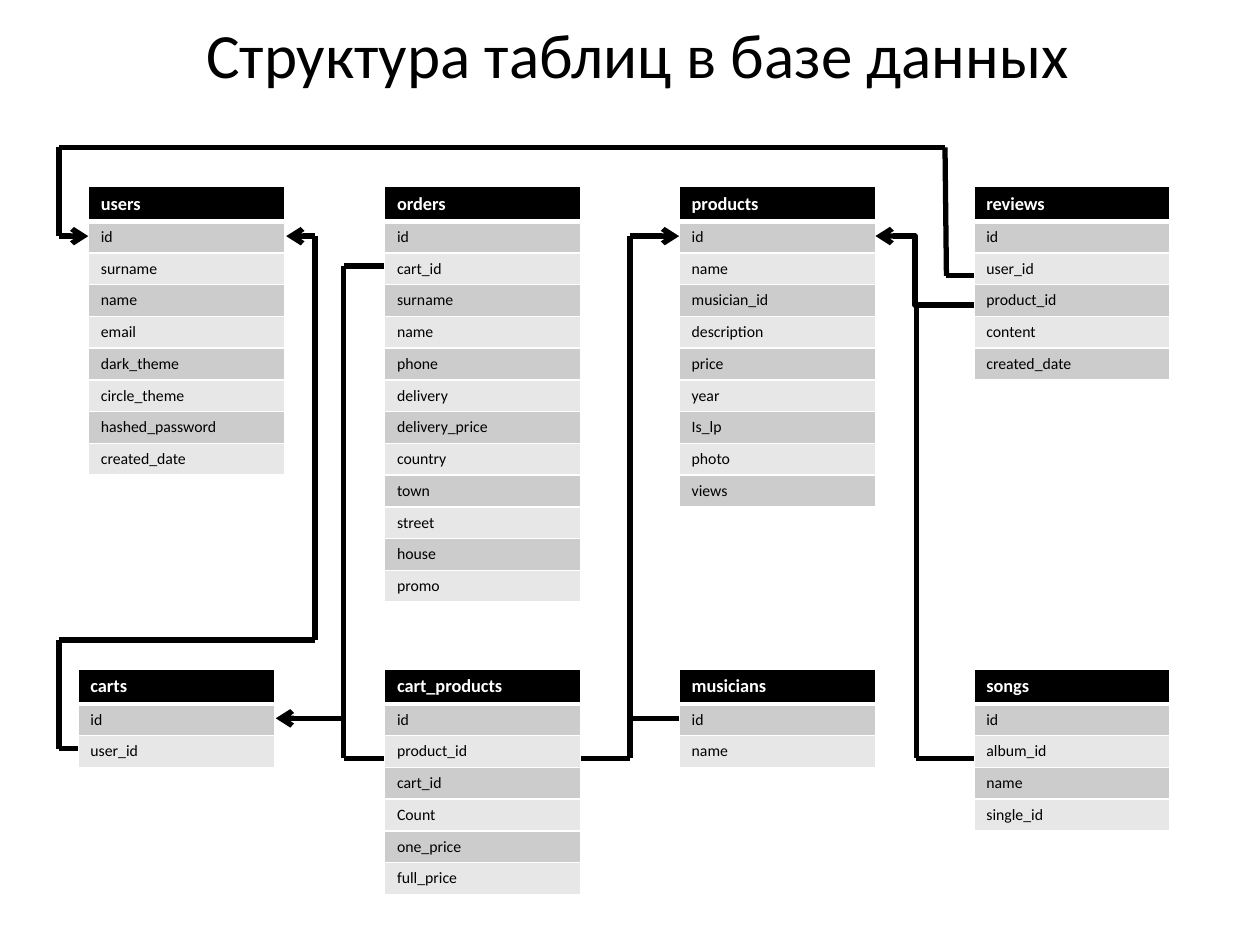
from pptx import Presentation
from pptx.dml.color import RGBColor
from pptx.enum.shapes import MSO_CONNECTOR
from pptx.enum.text import MSO_ANCHOR, PP_ALIGN
from pptx.oxml import parse_xml
from pptx.oxml.ns import nsdecls, qn
from pptx.util import Cm, Pt
from lxml.etree import SubElement

BLACK = RGBColor(0x00, 0x00, 0x00)
WHITE = RGBColor(0xFF, 0xFF, 0xFF)
DARK_BAND = RGBColor(0xCC, 0xCC, 0xCC)
LIGHT_BAND = RGBColor(0xE7, 0xE7, 0xE7)
FONT = "Calibri"

TABLE_WIDTH = 3.96
HEADER_HEIGHT = 0.7
ROW_HEIGHT = 0.64
UPPER, LOWER = 3.76, 13.49
COLUMN_2, COLUMN_3, COLUMN_4 = 7.75, 13.69, 19.63

# Left, top, table name, fields
TABLES = [
    (1.78, UPPER, "users", "id surname name email dark_theme circle_theme "
                           "hashed_password created_date"),
    (COLUMN_2, UPPER, "orders", "id cart_id surname name phone delivery delivery_price "
                                "country town street house promo"),
    (COLUMN_3, UPPER, "products", "id name musician_id description price year "
                                  "Is_lp photo views"),
    (COLUMN_4, UPPER, "reviews", "id user_id product_id content created_date"),
    (1.57, LOWER, "carts", "id user_id"),
    (COLUMN_2, LOWER, "cart_products", "id product_id cart_id Count one_price full_price"),
    (COLUMN_3, LOWER, "musicians", "id name"),
    (COLUMN_4, LOWER, "songs", "id album_id name single_id"),
]

# Corner points of each relation, and whether it ends in an arrow
ROUTES = [
    ([(COLUMN_4, 5.56), (19.08, 5.56), (19.05, 2.97), (1.19, 2.97), (1.19, 4.76),
      (1.78, 4.76)], True),                                       # reviews to users
    ([(COLUMN_4, 15.29), (18.47, 15.29), (18.47, 6.15)], False),  # songs to products
    ([(11.71, 15.29), (12.7, 15.29), (12.7, 4.76),
      (COLUMN_3, 4.76)], True),                                   # cart_products to products
    ([(COLUMN_3, 14.48), (12.7, 14.48)], False),                  # musicians to products
    ([(1.57, 15.09), (1.19, 15.09), (1.19, 12.9), (6.35, 12.9), (6.35, 4.76),
      (5.77, 4.76)], True),                                       # carts to users
    ([(COLUMN_2, 5.36), (6.93, 5.36), (6.93, 15.29),
      (COLUMN_2, 15.29)], False),                                 # orders and cart_products
    ([(6.93, 14.48), (5.56, 14.48)], True),                       # shared branch to carts
]


def fill_cell(cell, text, size, color, fill, bottom_width):
    cell.fill.solid()
    cell.fill.fore_color.rgb = fill
    span = cell.text_frame.paragraphs[0].add_run()
    span.text = text
    span.font.name = FONT
    span.font.size = Pt(size)
    span.font.bold = fill == BLACK
    span.font.color.rgb = color
    properties = cell._tc.get_or_add_tcPr()
    widths = [("lnL", 1), ("lnR", 1), ("lnT", 1), ("lnB", bottom_width)]
    for position, (side, width) in enumerate(widths):
        properties.insert(position, parse_xml(
            f'<a:{side} {nsdecls("a")} w="{Pt(width)}"><a:solidFill>'
            f'<a:srgbClr val="{WHITE}"/></a:solidFill></a:{side}>'))


def connect(kind, start, end, arrow):
    connector = page.shapes.add_connector(kind, *map(Cm, start + end))
    connector.line.color.rgb = BLACK
    connector.line.width = Pt(3)
    if arrow:
        SubElement(connector.line._get_or_add_ln(), qn("a:tailEnd"), type="arrow")
    SubElement(connector._element.spPr, qn("a:effectLst"))
    return connector


deck = Presentation()
deck.slide_width, deck.slide_height = Cm(25.4), Cm(19.05)
page = deck.slides.add_slide(deck.slide_layouts[6])

# Title
box = page.shapes.add_textbox(Cm(0.79), Cm(0), Cm(24.13), Cm(2.34))
box.text_frame.word_wrap = True
box.text_frame.vertical_anchor = MSO_ANCHOR.MIDDLE
para = box.text_frame.paragraphs[0]
para.alignment = PP_ALIGN.CENTER
para.line_spacing = 0.9
span = para.add_run()
span.text = "Структура таблиц в базе данных"
span.font.name = FONT
span.font.size = Pt(36)
span.font.color.rgb = BLACK

# Database tables
for left, top, name, field_list in TABLES:
    fields = field_list.split()
    height = HEADER_HEIGHT + ROW_HEIGHT * len(fields)
    table = page.shapes.add_table(len(fields) + 1, 1, Cm(left), Cm(top),
                                  Cm(TABLE_WIDTH), Cm(height)).table
    table.rows[0].height = Cm(HEADER_HEIGHT)
    fill_cell(table.cell(0, 0), name, 10.5, WHITE, BLACK, 3)
    for row, field in enumerate(fields, start=1):
        table.rows[row].height = Cm(ROW_HEIGHT)
        band = DARK_BAND if row % 2 else LIGHT_BAND
        fill_cell(table.cell(row, 0), field, 9, BLACK, band, 1)

# Elbow from reviews to products
elbow = connect(MSO_CONNECTOR.ELBOW, (COLUMN_4, 6.15), (17.65, 4.76), True)
bend = elbow._element.spPr.find(qn("a:prstGeom")).get_or_add_avLst()
SubElement(bend, qn("a:gd"), name="adj1", fmla="val 59700")

# Relations made of straight segments
for points, has_arrow in ROUTES:
    for start, end in zip(points, points[1:]):
        connect(MSO_CONNECTOR.STRAIGHT, start, end, has_arrow and end == points[-1])

deck.save("out.pptx")
